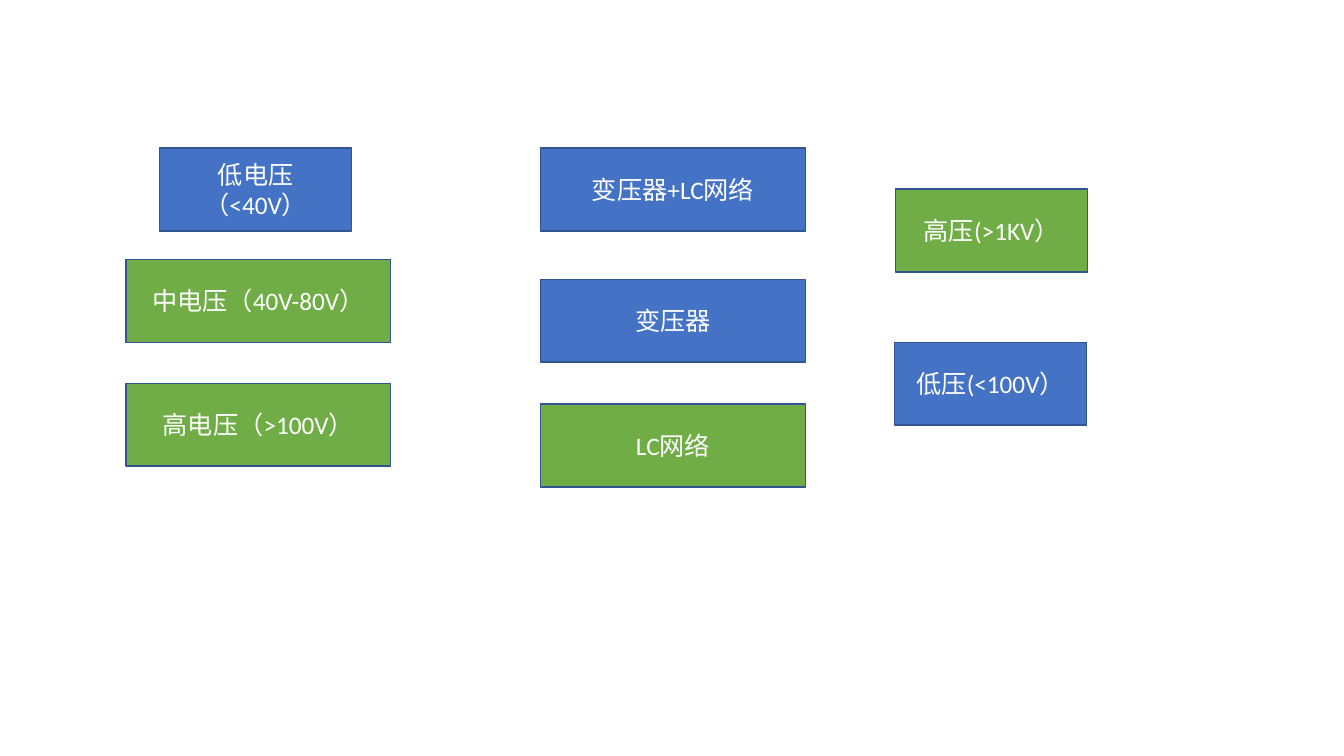
from pptx import Presentation
from pptx.dml.color import RGBColor
from pptx.enum.shapes import MSO_SHAPE
from pptx.enum.text import MSO_ANCHOR, PP_ALIGN
from pptx.util import Pt

RECTANGLE = MSO_SHAPE.RECTANGLE
MIDDLE = MSO_ANCHOR.MIDDLE
CENTER = PP_ALIGN.CENTER

EMU_PER_PX = 9525
SLIDE_WIDTH, SLIDE_HEIGHT = 1280, 720
BLANK_LAYOUT = 6
NARROW, WIDE, BOX_HEIGHT = 183, 252, 79
FONT_NAME, FONT_SIZE = "Calibri", 18
COLORS = {
    "blue": "4472C4",
    "green": "70AD47",
    "border": "325491",
    "text": "FFFFFF",
}

INPUT_VOLTAGES = [
    (32, 0, NARROW, "blue", "低电压（<40V）"),
    (0, 106, WIDE, "green", "中电压（40V-80V）"),
    (0, 224, WIDE, "green", "高电压（>100V）"),
]
CIRCUITS = [
    (0, 0, WIDE, "blue", "变压器+LC网络"),
    (0, 125, WIDE, "blue", "变压器"),
    (0, 244, WIDE, "green", "LC网络"),
]
OUTPUT_VOLTAGES = [
    (1, 0, NARROW, "green", "高压(>1KV）"),
    (0, 146, NARROW, "blue", "低压(<100V）"),
]


def px(length):
    """Turn a length in px into EMU."""
    return length * EMU_PER_PX


def color(name):
    """Look up a named colour."""
    return RGBColor.from_string(COLORS[name])


def add_box(slide, left, top, width, fill, text):
    """Draw one filled box with a centred label."""
    shape = slide.shapes.add_shape(
        RECTANGLE, px(left), px(top), px(width), px(BOX_HEIGHT))
    shape.shadow.inherit = False
    shape.fill.solid()
    shape.fill.fore_color.rgb = color(fill)
    shape.line.color.rgb = color("border")
    shape.line.width = Pt(1)
    text_frame = shape.text_frame
    text_frame.word_wrap = True
    text_frame.vertical_anchor = MIDDLE
    text_frame.text = text
    paragraph = text_frame.paragraphs[0]
    paragraph.alignment = CENTER
    font = paragraph.runs[0].font
    font.name = FONT_NAME
    font.size = Pt(FONT_SIZE)
    font.color.rgb = color("text")


def add_column(slide, left, top, boxes):
    """Place a column of boxes relative to its top left corner."""
    for offset_x, offset_y, width, fill, text in boxes:
        add_box(slide, left + offset_x, top + offset_y, width, fill, text)


def main():
    """Build and save the slide."""
    presentation = Presentation()
    presentation.slide_width = px(SLIDE_WIDTH)
    presentation.slide_height = px(SLIDE_HEIGHT)
    slide = presentation.slides.add_slide(
        presentation.slide_layouts[BLANK_LAYOUT])
    add_column(slide, 120, 141, INPUT_VOLTAGES)
    add_column(slide, 515, 141, CIRCUITS)
    add_column(slide, 852, 180, OUTPUT_VOLTAGES)
    presentation.save("out.pptx")


if __name__ == "__main__":
    main()
